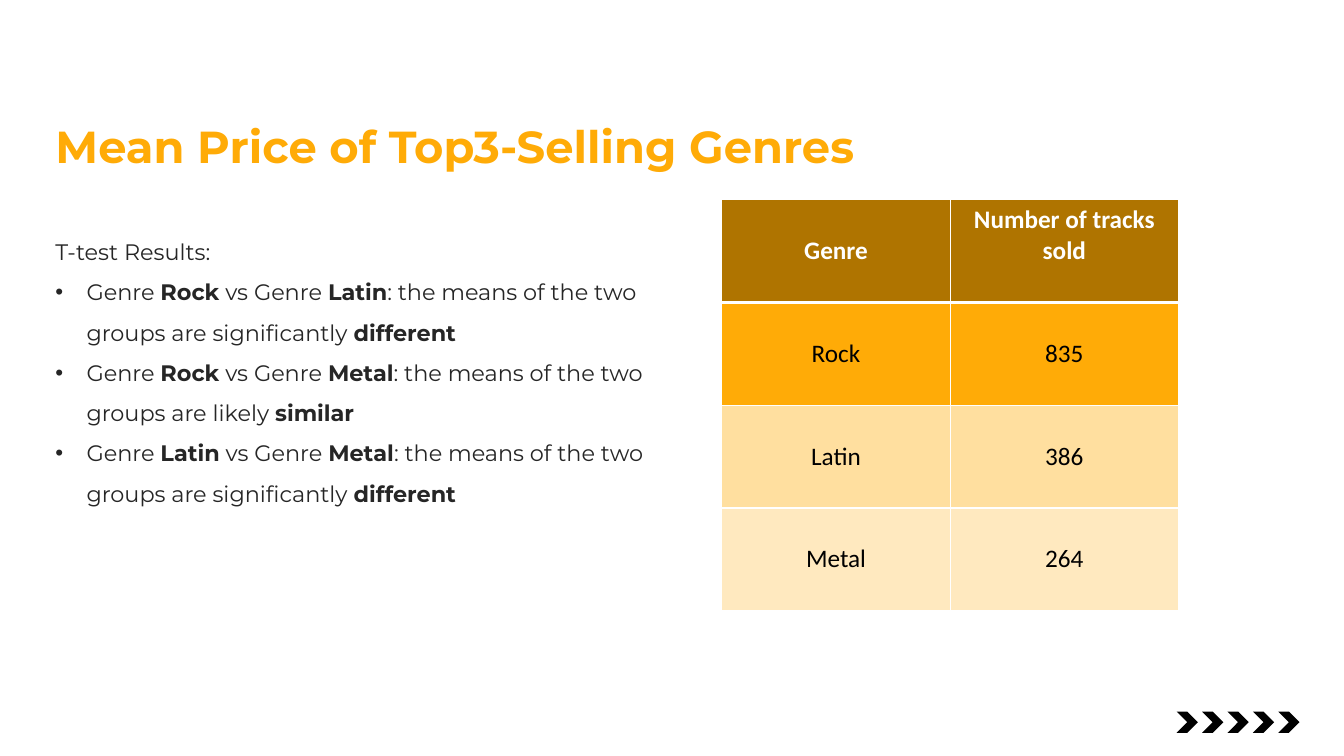
from lxml.etree import SubElement
from pptx import Presentation
from pptx.dml.color import RGBColor
from pptx.enum.shapes import MSO_SHAPE
from pptx.enum.text import MSO_ANCHOR, PP_ALIGN
from pptx.oxml import parse_xml
from pptx.oxml.ns import nsdecls, qn
from pptx.util import Inches, Pt

ORANGE = RGBColor(0xFF, 0xAB, 0x07)
BROWN = RGBColor(0xAF, 0x74, 0x00)
PEACH = RGBColor(0xFF, 0xDF, 0x9F)
CREAM = RGBColor(0xFF, 0xE9, 0xBF)
CHARCOAL = RGBColor(0x26, 0x26, 0x26)
BLACK = RGBColor(0, 0, 0)
WHITE = RGBColor(0xFF, 0xFF, 0xFF)


def write(paragraph, text, *, size, color, font="Montserrat", bold=False,
          align=PP_ALIGN.LEFT, spacing=1.0):
    paragraph.alignment = align
    paragraph.line_spacing = spacing
    for index, part in enumerate(text.split("*")):
        if part:
            run = paragraph.add_run()
            run.text = part
            run.font.name = font
            run.font.size = Pt(size)
            run.font.bold = bold or index % 2 == 1
            run.font.color.rgb = color


def area(left, top, width, height):
    return (int(left * column), int(top * row),
            int(width * column), int(height * row))


deck = Presentation()
deck.slide_width = Inches(13.33)
deck.slide_height = Inches(7.5)
column = deck.slide_width / 100
row = deck.slide_height / 100
slide = deck.slides.add_slide(deck.slide_layouts[5])

for step in range(5):
    chevron = slide.shapes.add_shape(
        MSO_SHAPE.CHEVRON, *area(87.55 + 1.89 * step, 94.13, 1.58, 2.8))
    chevron.shadow.inherit = False
    chevron.fill.solid()
    chevron.fill.fore_color.rgb = BLACK
    chevron.line.fill.background()

heading = slide.shapes.title
heading.left, heading.top, heading.width, heading.height = area(3.38, 15.07, 63.32, 8.53)
heading.text_frame.vertical_anchor = MSO_ANCHOR.TOP
write(heading.text_frame.paragraphs[0], "Mean Price of Top3-Selling Genres",
      size=32, color=ORANGE, bold=True)

results = slide.shapes.add_textbox(*area(3.38, 29.07, 46.66, 38.4)).text_frame
results.word_wrap = True
write(results.paragraphs[0], "T-test Results:", size=16, color=CHARCOAL, spacing=1.5)

findings = [
    ("Rock", "Latin", "significantly", "different"),
    ("Rock", "Metal", "likely", "similar"),
    ("Latin", "Metal", "significantly", "different"),
]
for first, second, degree, verdict in findings:
    finding = results.add_paragraph()
    write(finding,
          f"Genre *{first}* vs Genre *{second}*: the means of the two groups "
          f"are {degree} *{verdict}*",
          size=16, color=CHARCOAL, spacing=1.5)
    properties = finding._p.get_or_add_pPr()
    properties.set("marL", str(Inches(0.31)))
    properties.set("indent", str(-Inches(0.31)))
    SubElement(properties, qn("a:buFont")).set("typeface", "Arial")
    SubElement(properties, qn("a:buChar")).set("char", "•")

sales = [
    ("Genre", "Number of tracks sold", BROWN),
    ("Rock", "835", ORANGE),
    ("Latin", "386", PEACH),
    ("Metal", "264", CREAM),
]
sales_table = slide.shapes.add_table(
    len(sales), 2, *area(53.71, 26.4, 33.98, 54.4)).table
sales_table.horz_banding = False

for line, (genre, tracks, fill) in enumerate(sales):
    is_header = line == 0
    for position, text in enumerate((genre, tracks)):
        cell = sales_table.cell(line, position)
        cell.fill.solid()
        cell.fill.fore_color.rgb = fill
        wraps = is_header and position == 1
        cell.vertical_anchor = MSO_ANCHOR.TOP if wraps else MSO_ANCHOR.MIDDLE
        write(cell.text_frame.paragraphs[0], text, size=18, font="Calibri",
              color=WHITE if is_header else BLACK, bold=is_header,
              align=PP_ALIGN.CENTER)
        borders = {"lnL": 1, "lnR": 1, "lnT": 3 if line == 1 else 1,
                   "lnB": 3 if is_header else 1}
        for order, (side, points) in enumerate(borders.items()):
            cell._tc.get_or_add_tcPr().insert(order, parse_xml(
                f'<a:{side} {nsdecls("a")} w="{Pt(points)}"><a:solidFill>'
                f'<a:srgbClr val="{WHITE}"/></a:solidFill></a:{side}>'))

deck.save("out.pptx")
